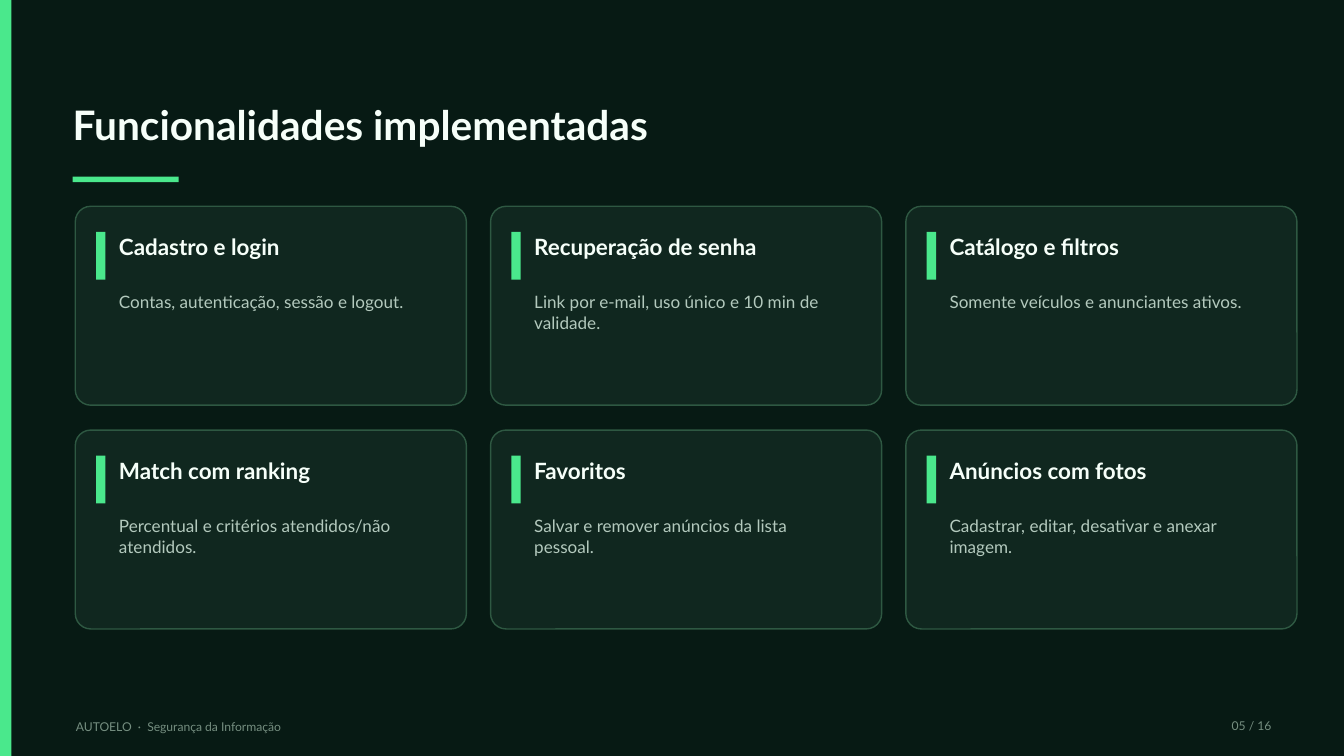
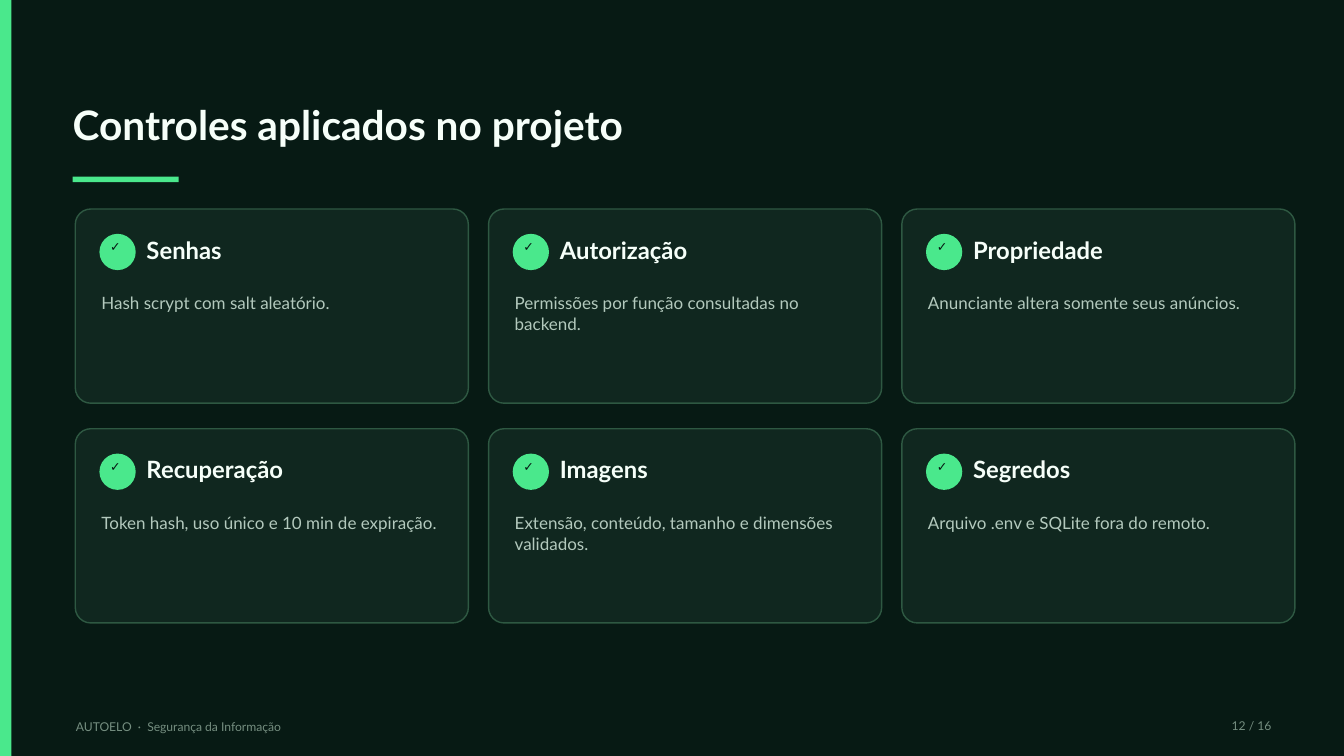
from pptx import Presentation
from pptx.dml.color import RGBColor
from pptx.enum.shapes import MSO_SHAPE
from pptx.enum.text import MSO_ANCHOR, MSO_AUTO_SIZE, PP_ALIGN
from pptx.util import Inches, Pt

RECTANGLE = MSO_SHAPE.RECTANGLE
ROUNDED = MSO_SHAPE.ROUNDED_RECTANGLE
OVAL = MSO_SHAPE.OVAL
LEFT, RIGHT = PP_ALIGN.LEFT, PP_ALIGN.RIGHT
TOP = MSO_ANCHOR.TOP
NO_AUTOFIT = MSO_AUTO_SIZE.NONE

# Shared theme
BACKGROUND = "071A14"
ACCENT = "4AE88C"
CARD_FILL = "10271F"
CARD_LINE = "2E5842"
HEADING = "F6FFF9"
BODY = "B3C9BD"
MUTED = "758E80"
FONT = "Lato"
SLIDE_WIDTH, SLIDE_HEIGHT = 20, 11.25
TITLE_ONLY = 5
COLUMNS, ROWS = 3, 2
CORNER_RADIUS = 0.23
FOOTER = "AUTOELO  ·  Segurança da Informação"
PAGE_COUNT = 16

FEATURES = [
    ("Cadastro e login", "Contas, autenticação, sessão e logout."),
    ("Recuperação de senha", "Link por e-mail, uso único e 10 min de validade."),
    ("Catálogo e filtros", "Somente veículos e anunciantes ativos."),
    ("Match com ranking", "Percentual e critérios atendidos/não atendidos."),
    ("Favoritos", "Salvar e remover anúncios da lista pessoal."),
    ("Anúncios com fotos", "Cadastrar, editar, desativar e anexar imagem."),
]
CONTROLS = [
    ("Senhas", "Hash scrypt com salt aleatório."),
    ("Autorização", "Permissões por função consultadas no backend."),
    ("Propriedade", "Anunciante altera somente seus anúncios."),
    ("Recuperação", "Token hash, uso único e 10 min de expiração."),
    ("Imagens", "Extensão, conteúdo, tamanho e dimensões validados."),
    ("Segredos", "Arquivo .env e SQLite fora do remoto."),
]


def color(hex_string):
    return RGBColor.from_string(hex_string)


def add_block(slide, kind, left, top, width, height, fill, line=None):
    shape = slide.shapes.add_shape(
        kind, Inches(left), Inches(top), Inches(width), Inches(height))
    shape.shadow.inherit = False
    shape.fill.solid()
    shape.fill.fore_color.rgb = color(fill)
    if line:
        shape.line.color.rgb = color(line)
        shape.line.width = Pt(1.5)
    else:
        shape.line.fill.background()
    return shape


def format_text(shape, text, size, text_color, spacing, bold=False,
                align=LEFT, font=FONT):
    frame = shape.text_frame
    frame.text = text
    frame.word_wrap = True
    frame.auto_size = NO_AUTOFIT
    frame.vertical_anchor = TOP
    frame.margin_left = frame.margin_right = 0
    frame.margin_top = frame.margin_bottom = 0
    paragraph = frame.paragraphs[0]
    paragraph.alignment = align
    paragraph.line_spacing = Pt(spacing)
    run_font = paragraph.runs[0].font
    run_font.name = font
    run_font.size = Pt(size)
    run_font.bold = bold
    run_font.color.rgb = color(text_color)


def add_text(slide, left, top, width, height, *style, **options):
    box = slide.shapes.add_textbox(
        Inches(left), Inches(top), Inches(width), Inches(height))
    format_text(box, *style, **options)


def add_frame(presentation, title, page):
    """Add a slide with its side band, title, rule and footer."""
    slide = presentation.slides.add_slide(presentation.slide_layouts[TITLE_ONLY])
    slide.background.fill.solid()
    slide.background.fill.fore_color.rgb = color(BACKGROUND)
    add_block(slide, RECTANGLE, 0, 0, 0.17, SLIDE_HEIGHT, ACCENT)

    heading = slide.shapes.title
    heading.left, heading.top = Inches(1.08), Inches(1.49)
    heading.width, heading.height = Inches(17.86), Inches(1.03)
    format_text(heading, title, 43.5, HEADING, 52.2, bold=True)
    add_block(slide, RECTANGLE, 1.08, 2.63, 1.58, 0.08, ACCENT)

    add_text(slide, 1.13, 10.71, 6, 0.31, FOOTER, 13, MUTED, 15.7)
    add_text(slide, 17.64, 10.69, 1.28, 0.31, f"{page:02d} / {PAGE_COUNT}",
             13, MUTED, 15.7, align=RIGHT)
    return slide


def add_card(slide, left, top, width, height):
    card = add_block(slide, ROUNDED, left, top, width, height, CARD_FILL, CARD_LINE)
    card.adjustments[0] = CORNER_RADIUS / min(width, height)


def add_feature_card(slide, left, top, width, height, name, detail):
    add_card(slide, left, top, width, height)
    add_block(slide, RECTANGLE, left + 0.31, top + 0.38, 0.14, 0.71, ACCENT)
    text_left = left + 0.65
    add_text(slide, text_left, top + 0.4, width - 1.17, 0.53,
             name, 24, HEADING, 28.8, bold=True)
    add_text(slide, text_left, top + 1.27, width - 1.2, 1.2,
             detail, 18.3, BODY, 22)


def add_control_card(slide, left, top, width, height, name, detail):
    add_card(slide, left, top, width, height)
    add_block(slide, OVAL, left + 0.36, top + 0.37, 0.54, 0.54, ACCENT)
    add_text(slide, left + 0.52, top + 0.45, 0.23, 0.29,
             "✓", 13.5, BACKGROUND, 16.2, bold=True, font="Calibri")
    add_text(slide, left + 1.06, top + 0.39, width - 1.47, 0.51,
             name, 25.5, HEADING, 30.6, bold=True)
    add_text(slide, left + 0.39, top + 1.25, width - 0.79, 1.08,
             detail, 18.2, BODY, 21.8)


def add_card_grid(slide, area, card_size, cards, draw_card):
    """Spread the cards evenly over the area, row by row."""
    left, top, width, height = area
    card_width, card_height = card_size
    column_step = (width - card_width) / (COLUMNS - 1)
    row_step = (height - card_height) / (ROWS - 1)
    for index, (name, detail) in enumerate(cards):
        row, column = divmod(index, COLUMNS)
        draw_card(slide, left + column * column_step, top + row * row_step,
                  card_width, card_height, name, detail)


def main():
    presentation = Presentation()
    presentation.slide_width = Inches(SLIDE_WIDTH)
    presentation.slide_height = Inches(SLIDE_HEIGHT)

    # Implemented features
    slide = add_frame(presentation, "Funcionalidades implementadas", 5)
    add_card_grid(slide, (1.12, 3.07, 18.18, 6.29), (5.82, 2.96),
                  FEATURES, add_feature_card)

    # Security controls
    slide = add_frame(presentation, "Controles aplicados no projeto", 12)
    add_card_grid(slide, (1.12, 3.11, 18.15, 6.16), (5.85, 2.89),
                  CONTROLS, add_control_card)

    presentation.save("out.pptx")


if __name__ == "__main__":
    main()
